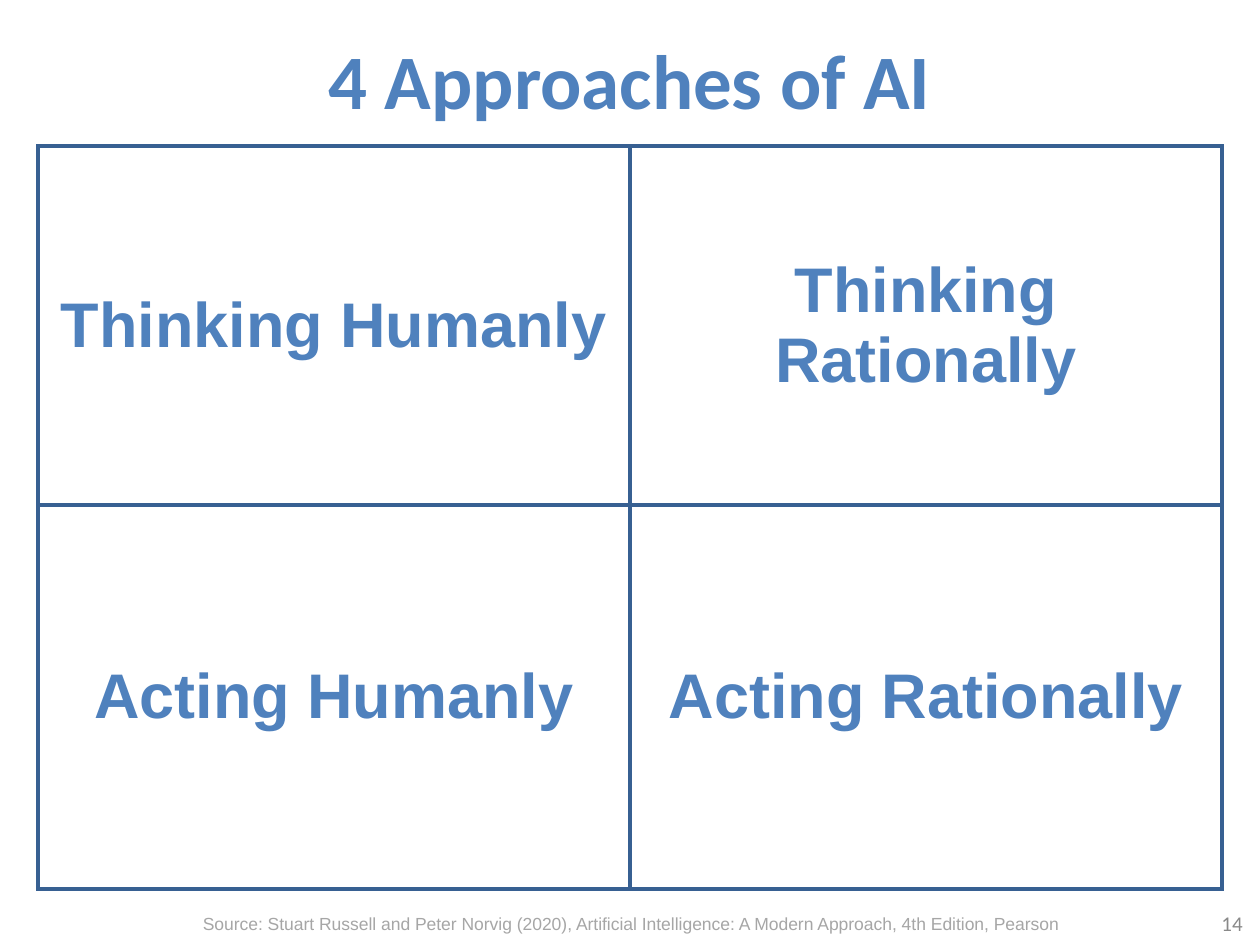
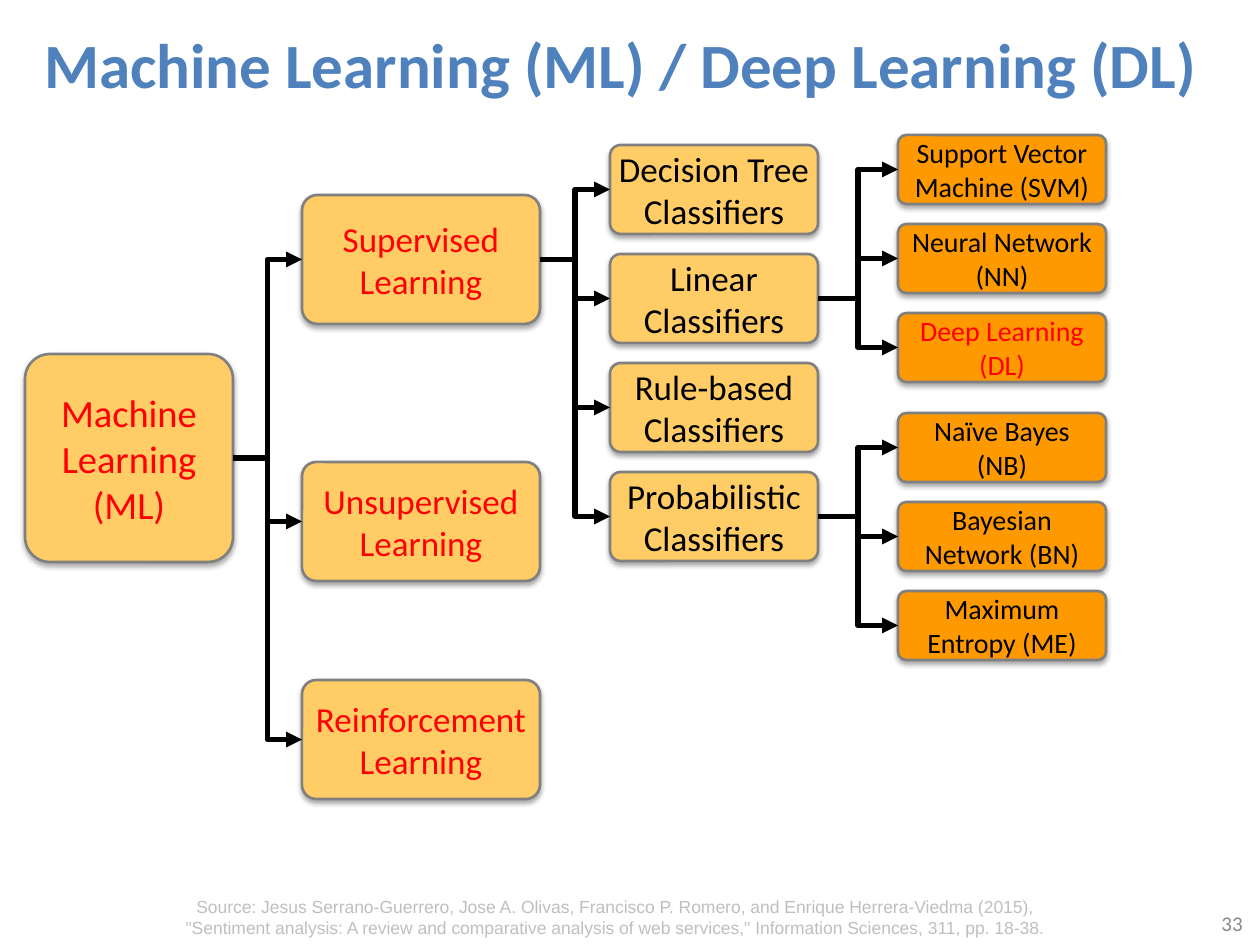
from lxml.etree import SubElement
from pptx import Presentation
from pptx.dml.color import RGBColor
from pptx.enum.shapes import MSO_CONNECTOR as Link, MSO_SHAPE as Preset
from pptx.enum.text import MSO_ANCHOR as Anchor, PP_ALIGN as Align
from pptx.oxml.ns import qn
from pptx.util import Emu, Pt

# Content
APPROACHES = {
    "title": "4 Approaches of AI", "title_at": (63, 16, 1134, 125), "title_size": 44,
    "page": "14",
    "source": "Source: Stuart Russell and Peter Norvig (2020), Artificial Intelligence: "
              "A Modern Approach, 4th Edition, Pearson",
    "source_at": (149, 907, 963, 34), "source_color": "source",
}
QUADRANTS = [("Thinking Humanly", "Thinking Rationally"),
             ("Acting Humanly", "Acting Rationally")]

LEARNING = {
    "title": "Machine Learning (ML) / Deep Learning (DL)",
    "title_at": (25, 11, 1191, 105), "title_size": 36,
    "page": "33",
    "source": "Source: Jesus Serrano-Guerrero, Jose A. Olivas, Francisco P. Romero, "
              "and Enrique Herrera-Viedma (2015),\v"
              "\"Sentiment analysis: A review and comparative analysis of web services,\" "
              "Information Sciences, 311, pp. 18-38.",
    "source_at": (74, 890, 1081, 56), "source_color": "pale_source",
}
ROOT = "Machine Learning\n(ML)"
PARADIGMS = [("Supervised Learning", 195, 129),  # text, top, height
             ("Unsupervised Learning", 462, 119),
             ("Reinforcement Learning", 680, 119)]
CLASSIFIERS = ["Decision Tree Classifiers", "Linear Classifiers",
               "Rule-based Classifiers", "Probabilistic Classifiers"]
METHODS = {  # parent: (top of its group, methods)
    "Linear Classifiers": (135, ["Support Vector Machine (SVM)", "Neural Network (NN)",
                                 "Deep Learning (DL)"]),
    "Probabilistic Classifiers": (413, ["Naïve Bayes\v(NB)", "Bayesian Network (BN)",
                                        "Maximum Entropy (ME)"]),
}

# Shared look
COLORS = {"title": "4F81BD", "grid": "376092", "page": "898989", "source": "A6A6A6",
          "pale_source": "BFBFBF", "box": "FFCC66", "method": "FF9900",
          "edge": "808080", "ink": "000000", "key": "FF0000"}
PAGE_AT = (961, 898, 294, 50)
LEVELS = {  # left, width, text size, fill, text colour
    "root": (25, 208, 22, "box", "key"),
    "paradigm": (302, 238, 20, "box", "key"),
    "classifier": (610, 208, 20, "box", "ink"),
    "method": (898, 208, 16, "method", "ink"),
}
PX = 914400 / 126


def px(*lengths):
    return [Emu(round(n * PX)) for n in lengths]


def rgb(name):
    return RGBColor.from_string(COLORS[name])


def write(frame, text, size, color, face="Calibri", bold=False, align=Align.CENTER):
    frame.text = text
    for paragraph in frame.paragraphs:
        paragraph.alignment = align
        look = {"size": Pt(size), "name": face, "bold": bold}
        for key, value in look.items():
            setattr(paragraph.font, key, value)
        paragraph.font.color.rgb = rgb(color)


def add_text(slide, at, text, size, color, anchor=Anchor.MIDDLE, **style):
    frame = slide.shapes.add_textbox(*px(*at)).text_frame
    frame.word_wrap = True
    frame.vertical_anchor = anchor
    write(frame, text, size, color, **style)


def add_slide(deck, content):
    slide = deck.slides.add_slide(deck.slide_layouts[6])
    add_text(slide, content["title_at"], content["title"], content["title_size"],
             "title", bold=True)
    add_text(slide, PAGE_AT, content["page"], 12, "page", align=Align.RIGHT)
    add_text(slide, content["source_at"], content["source"], 10,
             content["source_color"], anchor=Anchor.TOP, face="Arial")
    return slide


def outline_cell(cell):
    props = cell._tc.get_or_add_tcPr()
    for side in ("a:lnL", "a:lnR", "a:lnT", "a:lnB"):
        border = SubElement(props, qn(side), w=str(Pt(2.25)))
        fill = SubElement(border, qn("a:solidFill"))
        SubElement(fill, qn("a:srgbClr"), val=COLORS["grid"])
    cell.fill.background()


def add_quadrants(slide):
    table = slide.shapes.add_table(2, 2, *px(38, 146, 1184, 743)).table
    table.first_row = table.horz_banding = False
    for column in table.columns:
        column.width = px(592)[0]
    for row, height, labels in zip(table.rows, px(359, 384), QUADRANTS):
        row.height = height
        for cell, label in zip(row.cells, labels):
            outline_cell(cell)
            cell.vertical_anchor = Anchor.MIDDLE
            write(cell.text_frame, label, 36, "title", face="Arial", bold=True)


def add_shadow(box):
    box.shadow.inherit = False
    effects = box._element.spPr.find(qn("a:effectLst"))
    shadow = SubElement(effects, qn("a:outerShdw"), blurRad=str(Pt(3.1)),
                        dist=str(Pt(1.8)), dir="5400000", rotWithShape="0")
    color = SubElement(shadow, qn("a:srgbClr"), val=COLORS["ink"])
    SubElement(color, qn("a:alpha"), val="35000")


def add_box(slide, level, text, top, height, parent=None, color=None):
    left, width, size, fill, ink = LEVELS[level]
    box = slide.shapes.add_shape(Preset.ROUNDED_RECTANGLE, *px(left, top, width, height))
    box.adjustments[0] = 0.12
    box.fill.solid()
    box.fill.fore_color.rgb = rgb(fill)
    box.line.color.rgb = rgb("edge")
    box.line.width = Pt(1.5)
    add_shadow(box)
    frame = box.text_frame
    layout = {"margin_left": 0, "margin_right": 0, "margin_top": 0, "margin_bottom": 0,
              "word_wrap": True, "vertical_anchor": Anchor.MIDDLE}
    for key, value in layout.items():
        setattr(frame, key, value)
    write(frame, text, size, color or ink)
    if parent is not None:
        add_branch(slide, parent, box)
    return box


def add_branch(slide, parent, child):
    branch = slide.shapes.add_connector(Link.ELBOW, 0, 0, 0, 0)
    branch.begin_connect(parent, 3)  # right side
    branch.end_connect(child, 1)  # left side
    branch.line.color.rgb = rgb("ink")
    branch.line.width = Pt(3)
    SubElement(branch.line._get_or_add_ln(), qn("a:tailEnd"), type="triangle")
    SubElement(branch._element.spPr, qn("a:effectLst"))


def add_learning_tree(slide):
    root = add_box(slide, "root", ROOT, 354, 208)
    paradigms = [add_box(slide, "paradigm", text, top, height, root)
                 for text, top, height in PARADIGMS]
    for i, classifier in enumerate(CLASSIFIERS):
        parent = add_box(slide, "classifier", classifier, 145 + 109 * i, 89, paradigms[0])
        group_top, methods = METHODS.get(classifier, (0, []))
        for j, method in enumerate(methods):
            color = "key" if method.startswith("Deep") else None
            add_box(slide, "method", method, group_top + 89 * j, 69, parent, color)


def main():
    deck = Presentation()
    deck.slide_width, deck.slide_height = px(1260, 945)
    add_quadrants(add_slide(deck, APPROACHES))
    add_learning_tree(add_slide(deck, LEARNING))
    deck.save("out.pptx")


if __name__ == "__main__":
    main()
